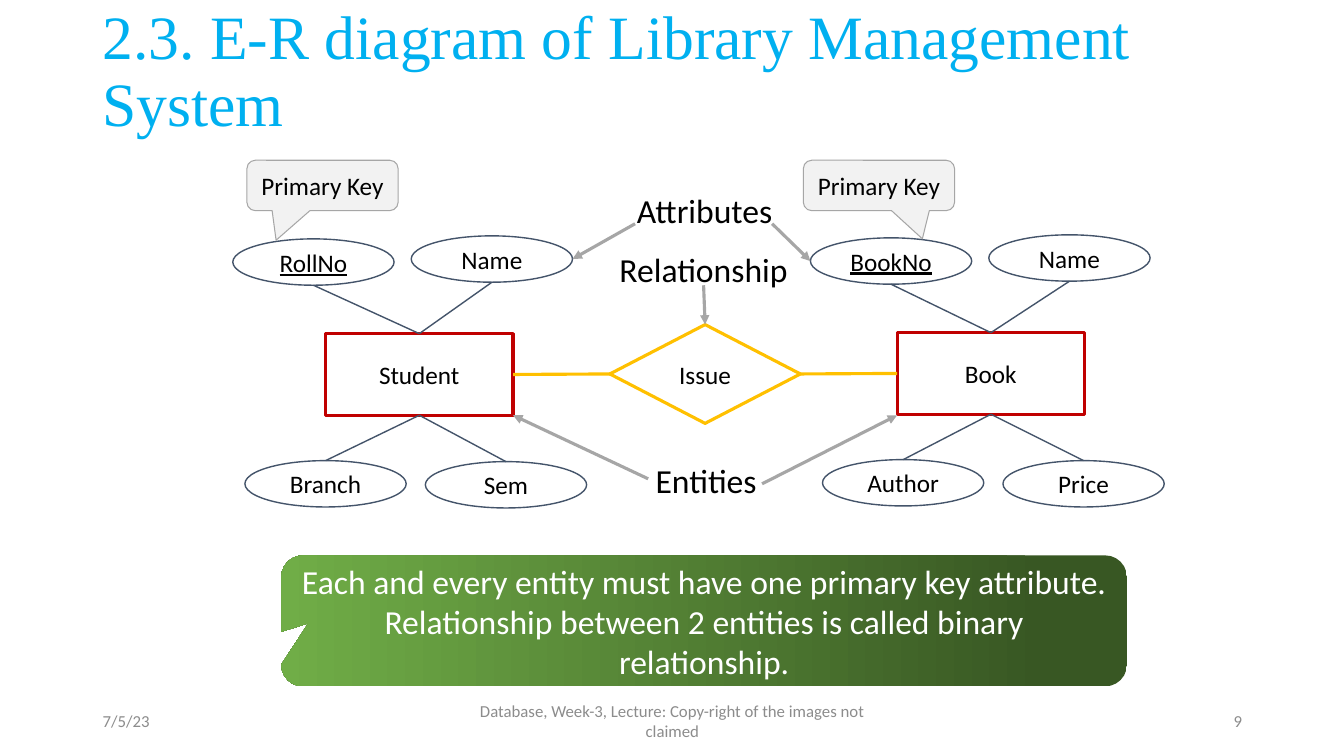
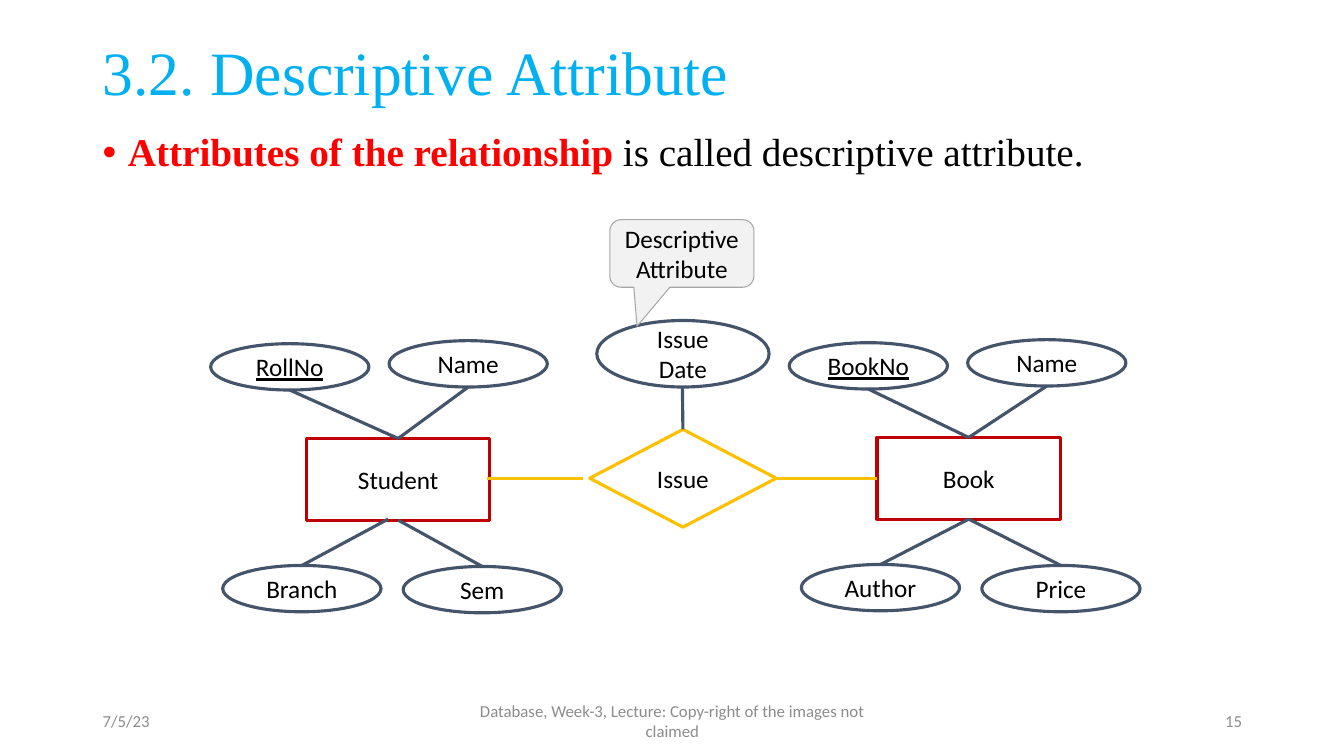
from lxml.etree import SubElement
from pptx import Presentation
from pptx.dml.color import RGBColor
from pptx.enum.shapes import MSO_CONNECTOR, MSO_SHAPE as SHAPE
from pptx.enum.text import MSO_ANCHOR as ANCHOR, PP_ALIGN as ALIGN
from pptx.oxml.ns import qn
from pptx.util import Inches, Pt

CELL = Inches(0.1)
COLUMNS, ROWS = 133.33, 75
MARGIN, CONTENT = 9.2, 115
SANS, SERIF = "Calibri", "Times New Roman"
BLACK, WHITE, RED = "000000", "FFFFFF", "FF0000"
TITLE, FOOTER = "00B0F0", "8C8C8C"
ENTITY, RELATION, ATTRIBUTE = "C00000", "FFC000", "44546A"
NOTE, GREY, DARK_GREEN, GREEN = "F2F2F2", "A6A6A6", "385723", "70AD47"
ENTITY_HEIGHT, OVAL_HEIGHT = 8.1, 4.6
OVAL_OFFSETS = ((0, 0), (17.7, -0.3), (1.2, 22), (19.1, 22.1))
TOP, LEFT, BOTTOM, RIGHT = range(4)
FOOTERS = "7/5/23", "Database, Week-3, Lecture: Copy-right of the images not claimed"


def cells(*values):
    return [round(value * CELL) for value in values]


def color(code):
    return RGBColor.from_string(code)


def add_span(para, text, size=18, font=SANS, ink=BLACK, bold=False, underline=False):
    span = para.add_run()
    span.text = text
    span.font.size, span.font.name = Pt(size), font
    span.font.bold, span.font.underline = bold, underline
    span.font.color.rgb = color(ink)


def fill_frame(frame, *texts, align=ALIGN.CENTER, spacing=1, anchor=ANCHOR.MIDDLE, **style):
    frame.word_wrap, frame.vertical_anchor = True, anchor
    for index, text in enumerate(texts):
        para = frame.paragraphs[0] if index == 0 else frame.add_paragraph()
        para.alignment, para.line_spacing = align, spacing
        add_span(para, text, **style)
    return frame


class Deck:
    """Hold the style of the deck and draw on its current page."""

    def __init__(self):
        self.deck = Presentation()
        self.deck.slide_width, self.deck.slide_height = cells(COLUMNS, ROWS)

    def page(self, title, number, title_top=0):
        self.shapes = self.deck.slides.add_slide(self.deck.slide_layouts[6]).shapes
        self.text((MARGIN, title_top, CONTENT, 14.5), title, align=ALIGN.LEFT,
                  spacing=0.9, size=44, font=SERIF, ink=TITLE)
        footers = zip((*FOOTERS, str(number)), (MARGIN, 44.2, 94.2), (30, 45, 30),
                      (ALIGN.LEFT, ALIGN.CENTER, ALIGN.RIGHT))
        for text, left, width, align in footers:
            self.text((left, 69.5, width, 4), text, align=align, size=12, ink=FOOTER)

    def text(self, area, *texts, **style):
        box = self.shapes.add_textbox(*cells(*area))
        return fill_frame(box.text_frame, *texts, **style)

    def bullet(self, area, lead, rest):
        style = {"size": 28, "font": SERIF}
        frame = self.text(area, lead, align=ALIGN.LEFT, anchor=ANCHOR.TOP,
                          spacing=0.9, ink=RED, bold=True, **style)
        para = frame.paragraphs[0]
        properties = para._p.get_or_add_pPr()
        properties.set("marL", str(Inches(0.25)))
        properties.set("indent", str(-Inches(0.25)))
        SubElement(properties, qn("a:buFont")).set("typeface", "Arial")
        SubElement(properties, qn("a:buChar")).set("char", "•")
        add_span(para, rest, **style)

    def shape(self, kind, area, *texts, fill=None, line=None, weight=2.25, adjust=(), **style):
        box = self.shapes.add_shape(kind, *cells(*area))
        box.shadow.inherit = False
        for index, value in enumerate(adjust):
            box.adjustments[index] = value
        if fill:
            box.fill.solid()
            box.fill.fore_color.rgb = color(fill)
        else:
            box.fill.background()
        if line:
            box.line.color.rgb = color(line)
            box.line.width = Pt(weight)
        else:
            box.line.fill.background()
        fill_frame(box.text_frame, *texts, **style)
        return box

    def callout(self, area, text, tip):
        self.shape(SHAPE.ROUNDED_RECTANGULAR_CALLOUT, area, text, fill=NOTE, line=GREY,
                   weight=0.75, adjust=tip)

    def label(self, area, text):
        self.shape(SHAPE.ROUNDED_RECTANGLE, area, text, size=24)

    def banner(self, area, *texts):
        box = self.shape(SHAPE.ROUNDED_RECTANGULAR_CALLOUT, area, *texts,
                         adjust=(-0.468, 0.019), size=24, ink=WHITE)
        box.fill.gradient()
        box.fill.gradient_angle = 180
        for stop, place, code in zip(box.fill.gradient_stops, (0.1, 1), (DARK_GREEN, GREEN)):
            stop.position, stop.color.rgb = place, color(code)

    def link(self, start, end, ink=GREY, weight=2.25, arrow=False):
        """Join two ends, each a (column, row) point or a (shape, side) pair."""
        points = [(0, 0) if hasattr(place[0], "shape_id") else place for place in (start, end)]
        line = self.shapes.add_connector(MSO_CONNECTOR.STRAIGHT, *cells(*points[0], *points[1]))
        if hasattr(start[0], "shape_id"):
            line.begin_connect(*start)
        if hasattr(end[0], "shape_id"):
            line.end_connect(*end)
        line.line.color.rgb = color(ink)
        line.line.width = Pt(weight)
        properties = line.element.spPr
        if arrow:
            SubElement(properties.find(qn("a:ln")), qn("a:tailEnd")).set("type", "triangle")
        SubElement(properties, qn("a:effectLst"))

    def oval(self, area, text, weight, **style):
        return self.shape(SHAPE.OVAL, area, text, fill=WHITE, line=ATTRIBUTE,
                          weight=weight, **style)

    def entity(self, name, corner, width, attributes, ovals, oval_width, weight, third_foot=None):
        """Draw an entity with two attributes above it, the key first, and two below."""
        box = self.shape(SHAPE.RECTANGLE, (*corner, width, ENTITY_HEIGHT), name, line=ENTITY)
        for index, (text, offset) in enumerate(zip(attributes, OVAL_OFFSETS)):
            left, top = ovals[0] + offset[0], ovals[1] + offset[1]
            oval = self.oval((left, top, oval_width, OVAL_HEIGHT), text, weight,
                             underline=index == 0)
            if index < 2:
                ends = (left + oval_width / 2, top + OVAL_HEIGHT), (box, TOP)
            else:
                foot = third_foot if index == 2 and third_foot else (box, BOTTOM)
                ends = foot, (oval, TOP)
            self.link(*ends, ink=ATTRIBUTE, weight=weight)
        return box

    def relation(self, area, text):
        return self.shape(SHAPE.DIAMOND, area, text, line=RELATION)


def main():
    deck = Deck()
    student = "RollNo", "Name", "Branch", "Sem"
    book = "BookNo", "Name", "Author", "Price"

    deck.page("2.3. E-R diagram of Library Management System", 9)
    ovals = {"oval_width": 16, "weight": 1}
    student_box = deck.entity("Student", (32.3, 33.1), 18.6, student, (23.1, 23.7), **ovals)
    book_box = deck.entity("Book", (89, 33), 18.6, book, (80.4, 23.6), **ovals)
    issue = deck.relation((60.5, 32.2, 18.9, 9.8), "Issue")
    deck.link((student_box, RIGHT), (issue, LEFT), RELATION)
    deck.link((issue, RIGHT), (book_box, LEFT), RELATION)
    for left, tip in ((24.5, (-0.307, 1.087)), (79.7, (0.287, 1.059))):
        deck.callout((left, 15.9, 15, 5), "Primary Key", tip)
    deck.label((62.3, 45.1, 15.5, 5), "Entities")
    deck.label((61.9, 18.3, 16, 5), "Attributes")
    deck.label((59.8, 24.2, 20, 5), "Relationship")
    for start, end in (
        ((75.6, 48), (89, 41.2)),
        ((64.3, 47.5), (50.9, 41.2)),
        ((76.6, 22.2), (80.4, 25.9)),
        ((63, 22.2), (56.8, 25.7)),
        ((69.8, 28.3), (issue, TOP)),
    ):
        deck.link(start, end, arrow=True)
    deck.banner((27.9, 55.1, 83.9, 13),
                "Each and every entity must have one primary key attribute.",
                "Relationship between 2 entities is called binary relationship.")

    deck.page("3.2. Descriptive Attribute", 15, title_top=0.2)
    deck.bullet((MARGIN, 12.7, CONTENT, 6), "Attributes of the relationship ",
                "is called descriptive attribute.")
    ovals = {"oval_width": 15.7, "weight": 2.25}
    deck.entity("Student", (30.4, 43.5), 18.2, student, (20.9, 34.1),
                third_foot=(38.5, 51.5), **ovals)
    book_box = deck.entity("Book", (87, 43.4), 18.2, book, (78.3, 34), **ovals)
    issue = deck.relation((58.5, 42.6, 18.5, 9.7), "Issue")
    deck.link((48.3, 47.5), (57.8, 47.5), RELATION)
    deck.link((issue, RIGHT), (book_box, LEFT), RELATION)
    deck.oval((59.2, 31.8, 17.1, 6.6), "Issue Date", 2.25)
    deck.link((67.7, 38.4), (issue, TOP), ATTRIBUTE)
    deck.callout((60.5, 21.8, 14.3, 6.7), "Descriptive Attribute", (-0.311, 1.077))

    deck.deck.save("out.pptx")


if __name__ == "__main__":
    main()
